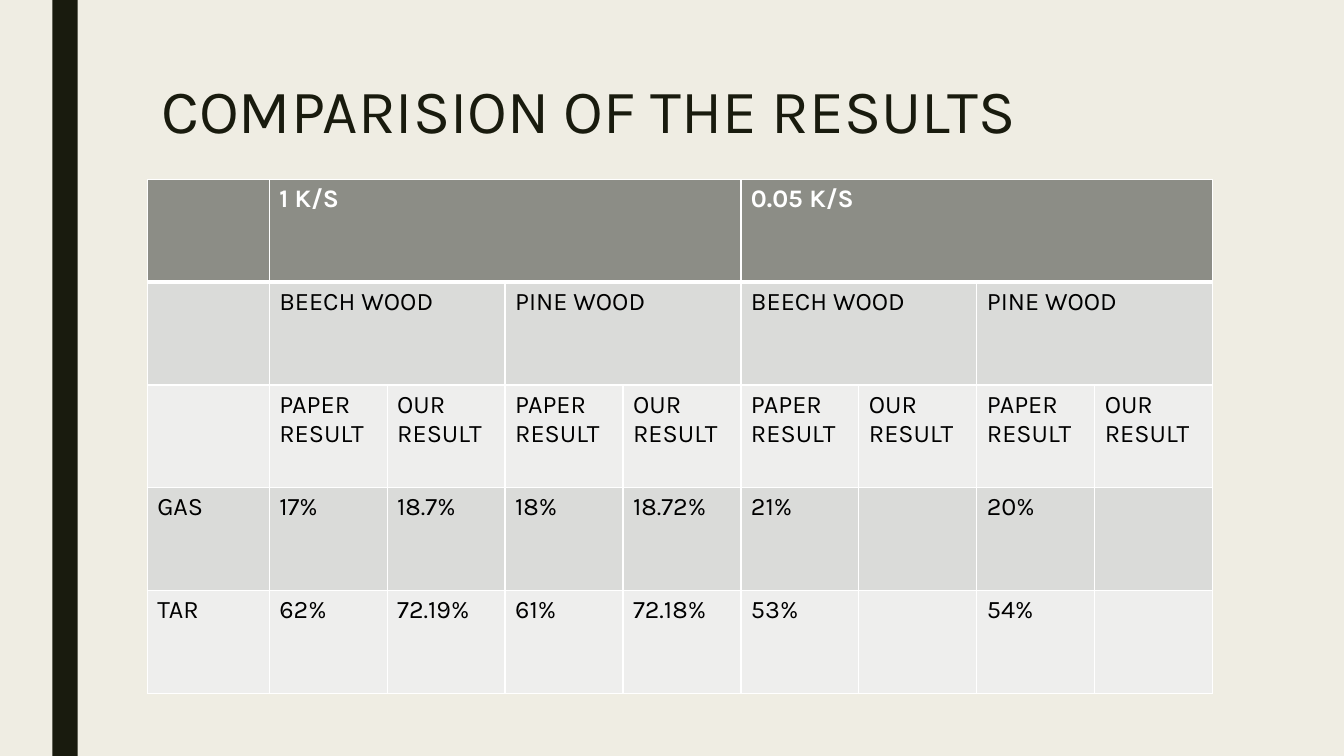
import pptx
import pptx.util
import pptx.dml.color
import pptx.enum.shapes
import pptx.enum.text
import pptx.oxml

TITLE = "COMPARISION OF THE RESULTS"
ROWS = [
    ("", ["1 K/S", "0.05 K/S"]),
    ("", ["BEECH WOOD", "PINE WOOD"] * 2),
    ("", ["PAPER RESULT", "OUR RESULT"] * 4),
    ("GAS", ["17%", "18.7%", "18%", "18.72%", "21%", "", "20%", ""]),
    ("TAR", ["62%", "72.19%", "61%", "72.18%", "53%", "", "54%", ""]),
]
COLORS = {"page": "EFEDE3", "dark": "191B0E", "header": "8C8D86", "odd": "DADBD9",
          "even": "EEEEED", "white": "FFFFFF", "black": "000000"}
FONT = "Karla"
VALUE_COLS = 8
LABEL_W, VALUE_W, ROW_H = 1.21, 1.17, 1.02
TABLE_LEFT, TABLE_TOP = 1.46, 1.78
LINE, HEADER_LINE = 1, 3


def inches(*values):
    return [pptx.util.Inches(v) for v in values]


def rgb(name):
    return pptx.dml.color.RGBColor.from_string(COLORS[name])


def paint(target, color):
    target.fill.solid()
    target.fill.fore_color.rgb = rgb(color)


def style(tf, color, size, bold=False):
    formats = {"name": FONT, "size": pptx.util.Pt(size), "bold": bold}
    for p in tf.paragraphs:
        for r in p.runs:
            for key, value in formats.items():
                setattr(r.font, key, value)
            r.font.color.rgb = rgb(color)


def border(cell, widths):
    tcPr = cell._tc.get_or_add_tcPr()
    for i, (side, width) in enumerate(widths.items()):
        tcPr.insert(i, pptx.oxml.parse_xml(
            f'<a:ln{side} xmlns:a="http://schemas.openxmlformats.org/drawingml/2006/main" '
            f'w="{pptx.util.Pt(width)}"><a:solidFill><a:srgbClr val="{COLORS["white"]}"/>'
            f'</a:solidFill></a:ln{side}>'))


prs = pptx.Presentation()
prs.slide_width, prs.slide_height = inches(13.33, 7.5)
slide = prs.slides.add_slide(prs.slide_layouts[5])
paint(slide.background, "page")

bar = slide.shapes.add_shape(pptx.enum.shapes.MSO_SHAPE.RECTANGLE, *inches(0.52, 0, 0.25, 7.5))
paint(bar, "dark")
bar.line.fill.background()
bar.shadow.inherit = False

title = slide.shapes.title
title.left, title.top, title.width, title.height = inches(1.5, 0.75, 10.5, 1.03)
tf = title.text_frame
tf.text = TITLE
tf.vertical_anchor = pptx.enum.text.MSO_ANCHOR.TOP
tf.paragraphs[0].alignment = pptx.enum.text.PP_ALIGN.LEFT
tf.paragraphs[0].line_spacing = 0.89
style(tf, "dark", 44)

table = slide.shapes.add_table(
    len(ROWS), VALUE_COLS + 1,
    *inches(TABLE_LEFT, TABLE_TOP, LABEL_W + VALUE_COLS * VALUE_W, len(ROWS) * ROW_H)).table
for c, column in enumerate(table.columns):
    column.width = pptx.util.Inches(VALUE_W if c else LABEL_W)

for i, (label, values) in enumerate(ROWS):
    table.rows[i].height = pptx.util.Inches(ROW_H)
    fill = "header" if i == 0 else "odd" if i % 2 else "even"
    widths = {"L": LINE, "R": LINE, "T": HEADER_LINE if i == 1 else LINE,
              "B": HEADER_LINE if i == 0 else LINE}
    for cell in table.rows[i].cells:
        paint(cell, fill)
        border(cell, widths)
    span = VALUE_COLS // len(values)
    starts = [0] + list(range(1, VALUE_COLS + 1, span))
    for c, text in zip(starts, [label] + values):
        cell = table.cell(i, c)
        if c and span > 1:
            cell.merge(table.cell(i, c + span - 1))
        cell.text = text
        style(cell.text_frame, "black" if i else "white", 18, i == 0)

prs.save("out.pptx")
